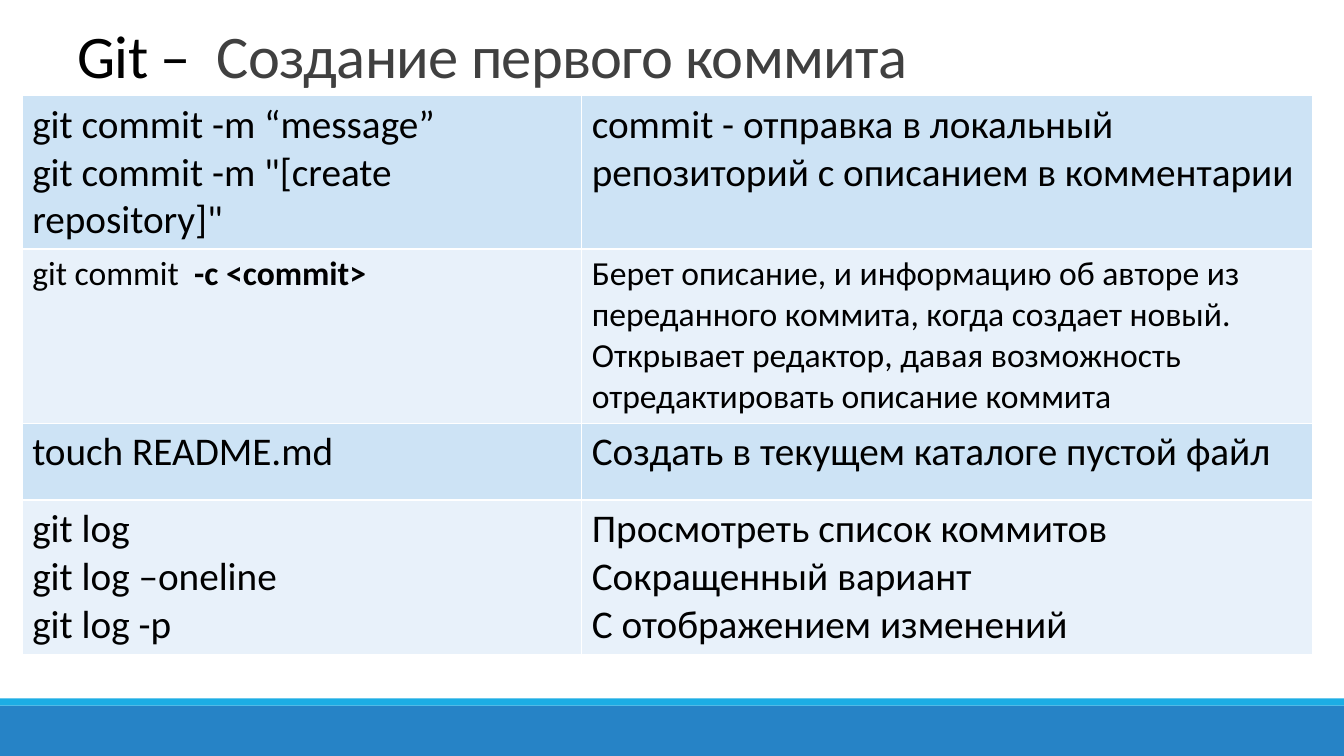
from lxml import etree
from pptx import Presentation
from pptx import util as u
from pptx.dml.color import RGBColor
from pptx.enum import shapes, text
from pptx.oxml.ns import qn

BLACK = RGBColor(0x00, 0x00, 0x00)
GRAY = RGBColor(0x40, 0x40, 0x40)
BLUE = RGBColor(0x26, 0x83, 0xC6)
CYAN = RGBColor(0x1C, 0xAD, 0xE4)
BANDS = [RGBColor(0xCD, 0xE3, 0xF5), RGBColor(0xE8, 0xF1, 0xFA)]
BORDER = "FFFFFF"
FONT = "Calibri"

# Content: each row has a height, a text size and two cells;
# a cell is a list of paragraphs, a paragraph a list of (text, bold) runs
TITLE = [("Git –  ", BLACK), ("Создание первого коммита", GRAY)]
COMMANDS = [
    (1.52, 28,
     [[("git commit -m “message”", False)],
      [('git commit -m "[create repository]"', False)]],
     [[("commit - отправка в локальный репозиторий с описанием в комментарии", False)]]),
    (1.73, 24,
     [[("git commit  ", False), ("-c <commit>", True)]],
     [[("Берет описание, и информацию об авторе из переданного коммита, "
        "когда создает новый. Открывает редактор, давая возможность "
        "отредактировать описание коммита", False)]]),
    (0.76, 28,
     [[("touch README.md", False)]],
     [[("Создать в текущем каталоге пустой файл", False)]]),
    (1.53, 28,
     [[("git log", False)], [("git log –oneline", False)], [("git log -p", False)]],
     [[("Просмотреть список коммитов", False)], [("Сокращенный вариант", False)],
      [("C отображением изменений", False)]]),
]
COL_WIDTHS = [5.55, 7.25]
W, H = 13.33, 7.5
FOOTER, STRIPE = 0.5, 0.07


def add_run(p, words, size, color, bold=False):
    r = p.add_run()
    r.text = words
    r.font.name, r.font.size, r.font.bold = FONT, u.Pt(size), bold
    r.font.color.rgb = color
    return r


def add_borders(cell):
    tc_pr = cell._tc.get_or_add_tcPr()
    for side in ("a:lnL", "a:lnR", "a:lnT", "a:lnB"):
        ln = etree.SubElement(tc_pr, qn(side), w=str(u.Pt(1)))
        fill = etree.SubElement(ln, qn("a:solidFill"))
        etree.SubElement(fill, qn("a:srgbClr"), val=BORDER)


prs = Presentation()
prs.slide_width, prs.slide_height = u.Inches(W), u.Inches(H)
s = prs.slides.add_slide(prs.slide_layouts[6])

# Footer bars
for top, height, color in [(H - FOOTER, FOOTER, BLUE),
                           (H - FOOTER - STRIPE, STRIPE, CYAN)]:
    sp = s.shapes.add_shape(shapes.MSO_SHAPE.RECTANGLE, 0, u.Inches(top),
                            prs.slide_width, u.Inches(height))
    sp.shadow.inherit = False
    sp.fill.solid()
    sp.fill.fore_color.rgb = color
    sp.line.fill.background()

# Title
sp = s.shapes.add_textbox(u.Inches(0.67), u.Inches(0.26), u.Inches(11), u.Inches(0.69))
tf = sp.text_frame
tf.word_wrap = True
tf.vertical_anchor = text.MSO_ANCHOR.BOTTOM
p = tf.paragraphs[0]
p.line_spacing = 0.85
for words, color in TITLE:
    r = add_run(p, words, 43.2, color)
    r.font._element.set("spc", "-50")

# Command table
heights = [row[0] for row in COMMANDS]
table = s.shapes.add_table(len(COMMANDS), len(COL_WIDTHS), u.Inches(0.22), u.Inches(0.95),
                           u.Inches(sum(COL_WIDTHS)), u.Inches(sum(heights))).table
table.first_row = table.horz_banding = False
for col, width in zip(table.columns, COL_WIDTHS):
    col.width = u.Inches(width)
for i, (height, size, *cells) in enumerate(COMMANDS):
    table.rows[i].height = u.Inches(height)
    for j, paragraphs in enumerate(cells):
        cell = table.cell(i, j)
        add_borders(cell)
        cell.fill.solid()
        cell.fill.fore_color.rgb = BANDS[i % 2]
        tf = cell.text_frame
        for k, runs in enumerate(paragraphs):
            p = tf.add_paragraph() if k else tf.paragraphs[0]
            for words, bold in runs:
                add_run(p, words, size, BLACK, bold)

prs.save("out.pptx")
